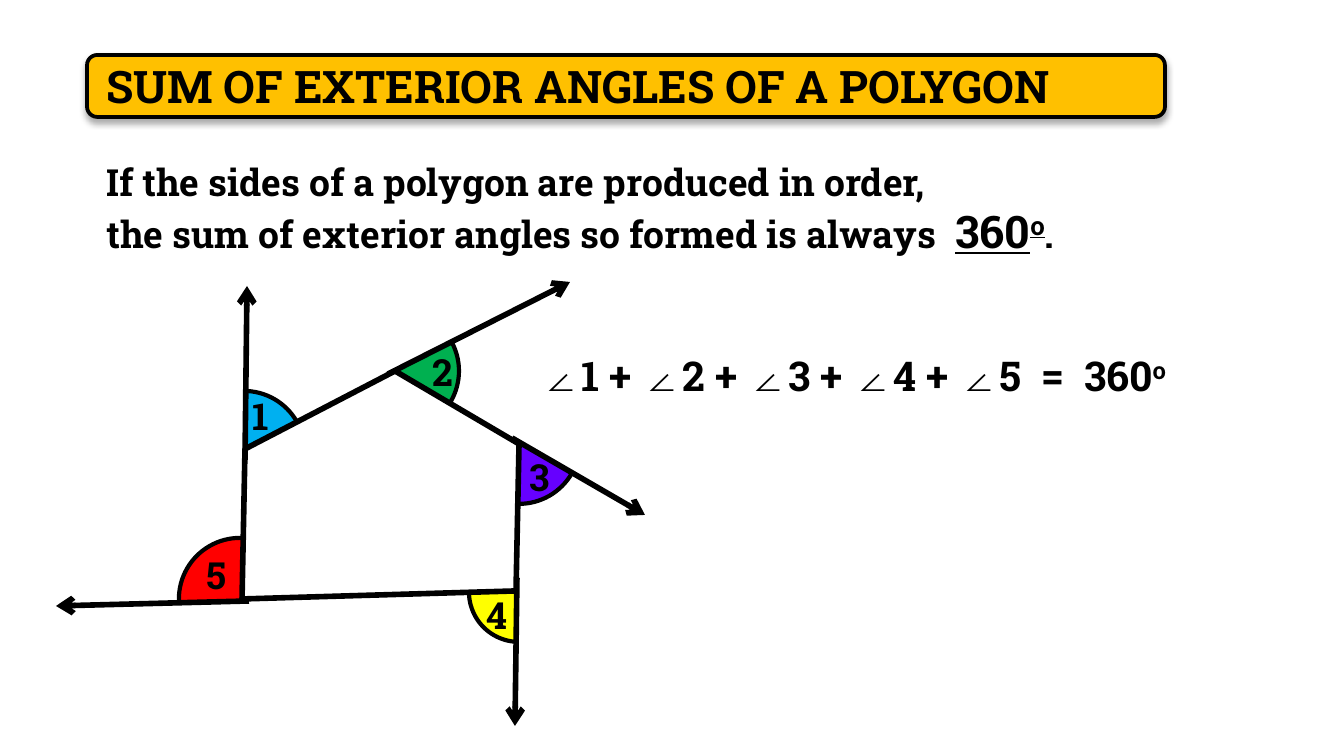
from dataclasses import dataclass

from lxml import etree
from pptx import Presentation
from pptx import util as u
from pptx.dml.color import RGBColor
from pptx.enum import shapes, text
from pptx.oxml.ns import qn


@dataclass(frozen=True)
class Theme:
    """Colours, fonts and type sizes."""
    ink: str = "000000"
    gold: str = "FFC000"
    blue: str = "00B0F0"
    green: str = "00B050"
    violet: str = "6600FF"
    yellow: str = "FFFF00"
    red: str = "FF0000"
    slab: str = "Roboto Slab"
    sans: str = "Arial"
    title: int = 24
    body: int = 20
    sum: int = 22


def px(num):
    """Turn pixels into EMU."""
    return u.Inches(num / 134.4)


def put(item, vals):
    """Set each attribute in the dict."""
    for key, val in vals.items():
        setattr(item, key, val)


class Deck:
    """Style and current slide."""

    def __init__(self, theme):
        """Start a deck with one blank slide."""
        self.theme = theme
        self.file = Presentation()
        put(self.file, {"slide_width": px(1344), "slide_height": px(756)})
        self.slide = self.file.slides.add_slide(self.file.slide_layouts[6])
        self.items = self.slide.shapes

    def style(self, shape, fill, width):
        """Set fill and outline, without shadow."""
        shape.shadow.inherit = False
        if fill:
            shape.fill.solid()
            shape.fill.fore_color.rgb = RGBColor.from_string(fill)
        else:
            shape.fill.background()
        self.stroke(shape, width)

    def stroke(self, shape, width):
        """Set the outline."""
        shape.line.color.rgb = RGBColor.from_string(self.theme.ink)
        shape.line.width = u.Pt(width)

    def bar(self, box, fill):
        """Draw a rounded bar with a soft shadow."""
        bar = self.items.add_shape(
            shapes.MSO_SHAPE.ROUNDED_RECTANGLE, *map(px, box))
        self.style(bar, fill, 2)
        glow = etree.SubElement(
            bar._element.spPr.find(qn("a:effectLst")), qn("a:outerShdw"),
            blurRad="44450", dist="27940", dir="5400000", rotWithShape="0")
        tint = etree.SubElement(glow, qn("a:srgbClr"), val=self.theme.ink)
        etree.SubElement(tint, qn("a:alpha"), val="32000")

    def wedge(self, mid, size, turn, fill):
        """Draw a filled arc around a corner, angles in degrees."""
        x, y = mid
        arc = self.items.add_shape(
            shapes.MSO_SHAPE.ARC, px(x - size), px(y - size),
            px(2 * size), px(2 * size))
        for spot, deg in enumerate(turn):
            arc.adjustments[spot] = deg * 0.6
        self.style(arc, fill, 2.25)

    def text(self, box, paras, align=text.PP_ALIGN.LEFT):
        """Write paragraphs of (gap, runs), each run (words, format)."""
        frame = self.items.add_textbox(*map(px, box)).text_frame
        frame.word_wrap = True
        for spot, (gap, runs) in enumerate(paras):
            para = frame.add_paragraph() if spot else frame.paragraphs[0]
            para.alignment = align
            if gap:
                para.space_before = u.Pt(gap)
            for words, look in runs:
                self.run(para, words, **look)

    def run(self, para, words, size, name=None, line=False, high=False):
        """Add one bold run."""
        run = para.add_run()
        run.text = words
        put(run.font, {"size": u.Pt(size), "bold": True, "underline": line,
                       "name": name or self.theme.slab})
        run.font.color.rgb = RGBColor.from_string(self.theme.ink)
        if high:
            run._r.get_or_add_rPr().set("baseline", "30000")

    def shape(self, dots):
        """Draw a closed outline through the points."""
        path = self.items.build_freeform(*dots[0], scale=px(1000) / 1000)
        path.add_line_segments(dots[1:], close=True)
        self.style(path.convert_to_shape(), None, 3)

    def arrow(self, start, end):
        """Draw a line with an open arrowhead."""
        line = self.items.add_connector(
            shapes.MSO_CONNECTOR.STRAIGHT, *map(px, start + end))
        self.stroke(line, 3)
        etree.SubElement(line.line._get_or_add_ln(), qn("a:tailEnd"),
                         type="arrow")
        etree.SubElement(line._element.spPr, qn("a:effectLst"))


def main():
    """Build the slide."""
    t = Theme()
    deck = Deck(t)
    deck.bar((87, 55, 1078, 62), t.gold)

    wedges = [
        ("2", (398, 371), 61, (332, 29.67), t.green, (410, 343)),
        ("3", (519, 443), 61, (29.68, 92.19), t.violet, (507, 448)),
        ("4", (519, 592), 50, (91.55, 178.41), t.yellow, (465, 586)),
        ("5", (240, 599), 61, (177.82, 272.28), t.red, (184, 546)),
        ("1", (244, 452), 61, (270, 332.23), t.blue, (228, 387)),
    ]
    for name, mid, size, turn, fill, spot in wedges:
        deck.wedge(mid, size, turn, fill)
        deck.text(spot + (65, 59), [(0, [(name, {"size": t.body})])],
                  text.PP_ALIGN.CENTER)

    head, body = {"size": t.title}, {"size": t.body}
    deck.text((93, 52, 1146, 220), [
        (0, [("SUM OF EXTERIOR ANGLES OF A POLYGON", head)]),
        (25, [("If the sides of a polygon are produced in order,", body)]),
        (0, [("the sum of exterior angles so formed is always  ", body),
             ("360", {**head, "line": True}),
             ("o", {**head, "line": True, "high": True}),
             (".", body)]),
    ])

    deck.shape([(395, 371), (245, 449), (242, 599), (516, 591), (519, 444)])
    for start, end in [
        ((388, 374), (570, 282)),
        ((512, 438), (645, 515)),
        ((517, 578), (515, 726)),
        ((249, 601), (56, 606)),
        ((245, 460), (247, 286)),
    ]:
        deck.arrow(start, end)

    look = {"size": t.sum}
    runs = []
    for part in ("1 + ", "2 + ", "3 + ", "4 + ", "5  =  360"):
        runs += [("∠", {**look, "name": t.sans}), (part, look)]
    runs.append(("o", {**look, "high": True}))
    deck.text((527, 344, 716, 63), [(0, runs)])
    deck.file.save("out.pptx")


if __name__ == "__main__":
    main()
